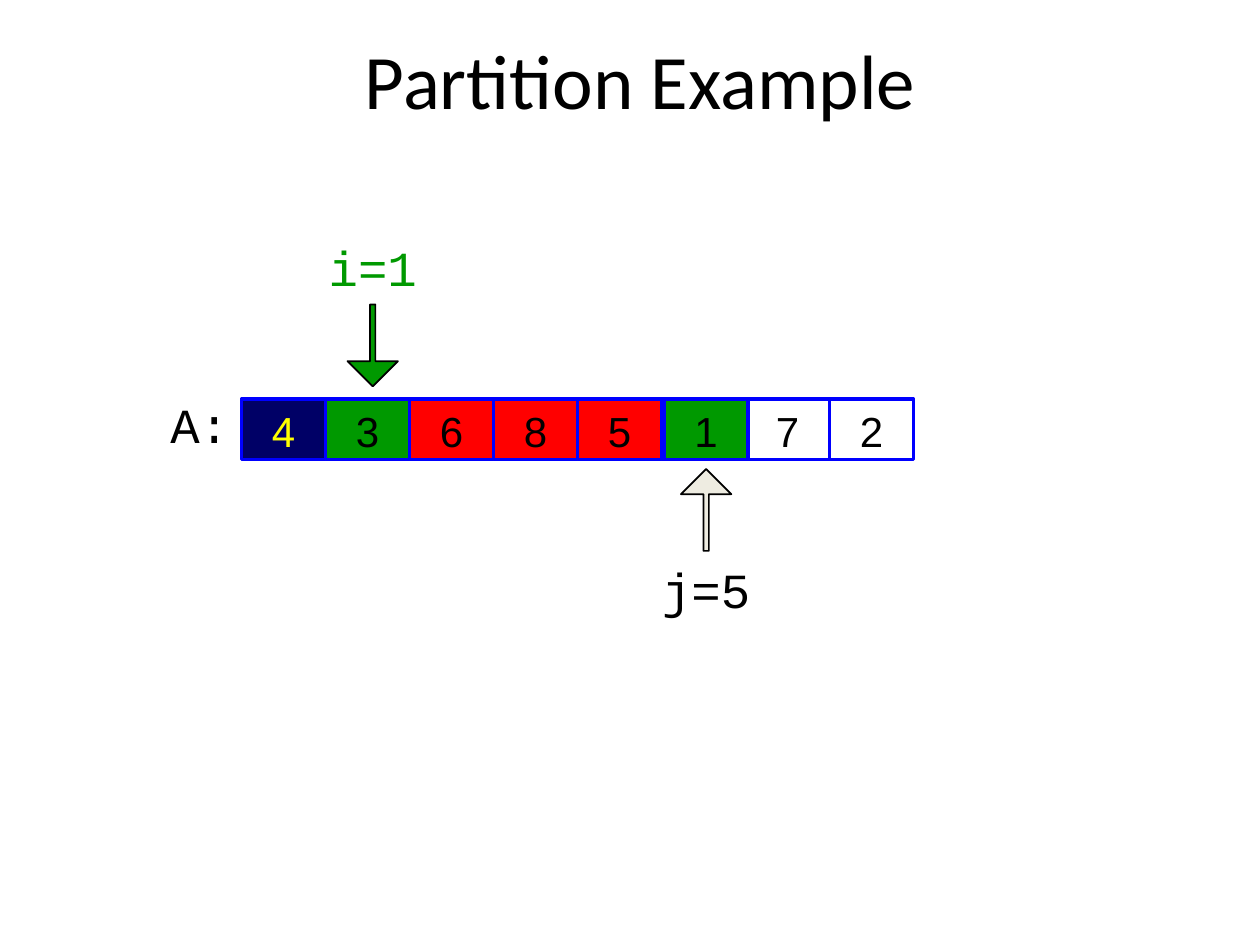
from pptx import Presentation
from pptx.dml.color import RGBColor
from pptx.enum import shapes, text
from pptx.util import Pt

MONO = "Courier New"
BLACK, GREEN, RED, BLUE = "000000", "009900", "FF0000", "0000FF"
SHAPE = shapes.MSO_SHAPE
ALIGN = text.PP_ALIGN


def hue(code):
    return RGBColor.from_string(code)


def write(shape, words, size, font, color, align, anchor=text.MSO_ANCHOR.TOP, foot=3.6):
    frame = shape.text_frame
    frame.word_wrap = True
    frame.vertical_anchor = anchor
    frame.margin_left = frame.margin_right = Pt(7.2)
    frame.margin_top, frame.margin_bottom = Pt(3.6), Pt(foot)
    para = frame.paragraphs[0]
    para.alignment = align
    run = para.add_run()
    run.text = words
    run.font.size = Pt(size)
    run.font.name = font
    run.font.color.rgb = hue(color)


def label(parent, left, top, width, words, color, align):
    box = parent.add_textbox(Pt(left), Pt(top), Pt(width), Pt(41))
    write(box, words, 28, MONO, color, align)


def solid(parent, kind, left, top, width, height, fill, line, weight):
    shape = parent.add_shape(kind, Pt(left), Pt(top), Pt(width), Pt(height))
    shape.shadow.inherit = False
    if fill:
        shape.fill.solid()
        shape.fill.fore_color.rgb = hue(fill)
    else:
        shape.fill.background()
    shape.line.color.rgb = hue(line)
    shape.line.width = Pt(weight)
    return shape


def title(parent, left, top, width, height):
    box = parent.add_textbox(Pt(left), Pt(top), Pt(width), Pt(height))
    write(box, "Partition Example", 44, "Calibri", BLACK, ALIGN.CENTER, text.MSO_ANCHOR.MIDDLE)


def cell(parent, left, top, width, height, value, fill, ink=BLACK):
    shape = solid(parent, SHAPE.RECTANGLE, left, top, width, height, fill, BLUE, 2)
    write(shape, value, 24, "Arial", ink, ALIGN.CENTER, foot=0)


def array(parent, left, top, width, height, values, fills):
    label(parent, left - 126, top - 6, 126, "A:", BLACK, ALIGN.RIGHT)
    step = width / len(values)
    for place, (value, fill) in enumerate(zip(values, fills)):
        ink = BLACK if place else "FFFF00"
        cell(parent, left + place * step, top, step, height, value, fill, ink)


def pointer(parent, left, top, width, words, color, fill, below=False):
    drop, shift = (0, 48) if below else (42, 0)
    arrow = solid(parent, SHAPE.DOWN_ARROW, left + width / 2 - 14.4, top + drop,
                  28.8, 46.8, fill, BLACK, 1)
    arrow.adjustments[0] = 0.108
    arrow.adjustments[1] = 0.5
    if below:
        arrow.rotation = 180
    label(parent, left, top + shift, width, words, color, ALIGN.CENTER)


def main():
    deck = Presentation()
    deck.slide_width, deck.slide_height = Pt(720), Pt(540)
    slide = deck.slides.add_slide(deck.slide_layouts[6])
    parts = slide.shapes
    title(parts, 60, 0, 612, 90)
    fills = ["000066", GREEN, RED, RED, RED, None, None, None]
    array(parts, 138, 228, 384, 34.5, "43685172", fills)
    group = parts.add_group_shape()
    pointer(group.shapes, 114, 132, 198, "i=1", GREEN, GREEN)
    cell(parts, 379.5, 228, 48, 34.5, "1", GREEN)
    pointer(parts, 304.5, 268, 198, "j=5", BLACK, "EEECE1", below=True)
    deck.save("out.pptx")


if __name__ == "__main__":
    main()
